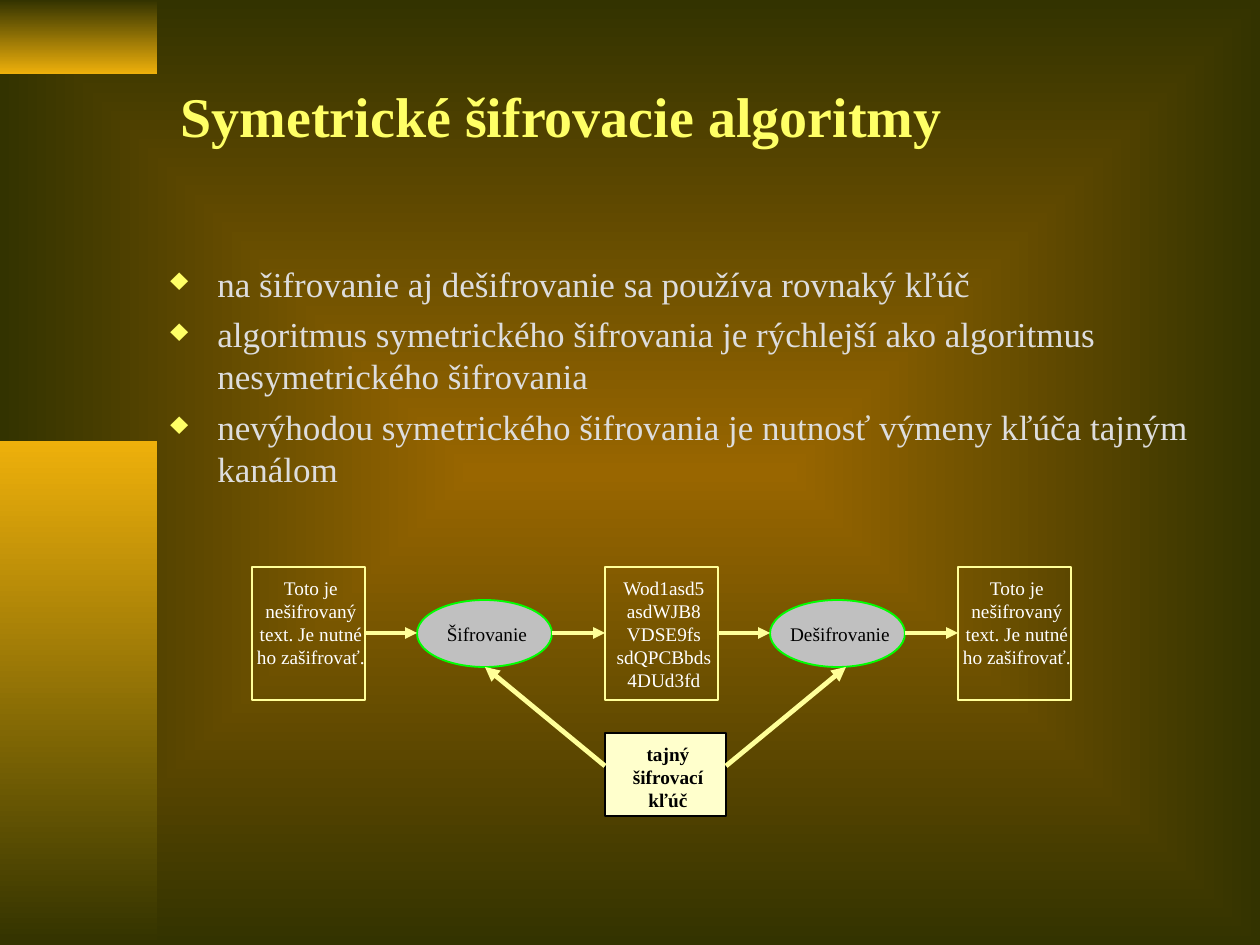
from dataclasses import dataclass
from itertools import pairwise

from pptx import Presentation
from pptx.dml.color import RGBColor
from pptx.enum.shapes import MSO_CONNECTOR, MSO_SHAPE
from pptx.enum.text import MSO_ANCHOR, MSO_AUTO_SIZE, PP_ALIGN
from pptx.oxml import parse_xml
from pptx.oxml.ns import nsdecls, qn
from pptx.util import Emu, Pt

RECTANGLE, OVAL = MSO_SHAPE.RECTANGLE, MSO_SHAPE.OVAL
STRAIGHT = MSO_CONNECTOR.STRAIGHT
TOP, MIDDLE = MSO_ANCHOR.TOP, MSO_ANCHOR.MIDDLE
LEFT, CENTER = PP_ALIGN.LEFT, PP_ALIGN.CENTER

EMU_PER_PX = 914400 / 126
FONT = "Times New Roman"
COLORS = {
    "brown": "996600", "olive": "333300", "gold": "EEB00B",
    "title": "FFFF66", "body": "DDDDDD", "pale": "FFFF99", "cream": "FFFFCC",
    "gray": "C0C0C0", "green": "00FF00", "white": "FFFFFF", "black": "000000",
}
BULLETS = [
    "na šifrovanie aj dešifrovanie sa používa rovnaký kľúč",
    "algoritmus symetrického šifrovania je rýchlejší ako algoritmus nesymetrického šifrovania",
    "nevýhodou symetrického šifrovania je nutnosť výmeny kľúča tajným kanálom",
]
PLAIN_TEXT = ("Toto je", "nešifrovaný", "text. Je nutné", "ho zašifrovať.")
CIPHER_TEXT = ("Wod1asd5", "asdWJB8", "VDSE9fs", "sdQPCBbds", "4DUd3fd")


@dataclass(frozen=True)
class Style:
    geometry: int
    fill: str | None
    line: str
    line_width: float
    text: str
    anchor: int
    bold: bool = False


@dataclass(frozen=True)
class Node:
    left: int
    top: int
    width: int
    height: int
    lines: tuple[str, ...]
    style: Style


MESSAGE = Style(RECTANGLE, None, "pale", 1.05, "white", TOP)
PROCESS = Style(OVAL, "gray", "green", 1.05, "black", MIDDLE)
KEY = Style(RECTANGLE, "cream", "black", 0.71, "black", TOP, bold=True)


def px(value: int) -> Emu:
    return Emu(round(value * EMU_PER_PX))


def color(name: str) -> RGBColor:
    return RGBColor.from_string(COLORS[name])


def set_gradient(fill, names: tuple[str, str]) -> None:
    fill.gradient()
    for stop, name in zip(fill.gradient_stops, names):
        stop.color.rgb = color(name)


def add_run(paragraph, text: str, size: int, name: str, bold: bool = False) -> None:
    run = paragraph.add_run()
    run.text = text
    run.font.name, run.font.size, run.font.bold = FONT, Pt(size), bold
    run.font.color.rgb = color(name)


def set_background(slide) -> None:
    set_gradient(slide.background.fill, ("brown", "olive"))
    gradient = next(slide.element.iter(qn("a:gradFill")))
    gradient.replace(gradient.find(qn("a:lin")), parse_xml(
        f'<a:path {nsdecls("a")} path="rect">'
        '<a:fillToRect l="50000" t="50000" r="50000" b="50000"/></a:path>'))


def add_panel(slide, top: int, height: int, names: tuple[str, str]) -> None:
    panel = slide.shapes.add_shape(RECTANGLE, 0, px(top), px(157), px(height))
    panel.shadow.inherit = False
    set_gradient(panel.fill, names)
    panel.fill.gradient_angle = 270
    panel.line.fill.background()


def set_title(slide, text: str) -> None:
    title = slide.shapes.title
    title.left, title.top, title.width, title.height = px(168), px(82), px(1071), px(67)
    frame = title.text_frame
    frame.vertical_anchor, frame.auto_size = MIDDLE, MSO_AUTO_SIZE.NONE
    frame.paragraphs[0].alignment = LEFT
    add_run(frame.paragraphs[0], text, 32, "title", bold=True)


def add_bullets(slide, texts: list[str]) -> None:
    frame = slide.shapes.add_textbox(px(158), px(256), px(1071), px(238)).text_frame
    frame.word_wrap = True
    for index, text in enumerate(texts):
        paragraph = frame.add_paragraph() if index else frame.paragraphs[0]
        properties = paragraph._p.get_or_add_pPr()
        properties.set("marL", str(px(47)))
        properties.set("indent", str(-px(47)))
        for element in (f'<a:buClr {nsdecls("a")}><a:srgbClr val="{COLORS["title"]}"/></a:buClr>',
                        f'<a:buSzPct {nsdecls("a")} val="90000"/>',
                        f'<a:buChar {nsdecls("a")} char="♦"/>'):
            properties.append(parse_xml(element))
        if index:
            paragraph.space_before = Pt(5)
        add_run(paragraph, text, 20, "body")


def add_node(slide, node: Node) -> None:
    style = node.style
    shape = slide.shapes.add_shape(
        style.geometry, px(node.left), px(node.top), px(node.width), px(node.height))
    shape.shadow.inherit = False
    if style.fill:
        shape.fill.solid()
        shape.fill.fore_color.rgb = color(style.fill)
    else:
        shape.fill.background()
    shape.line.color.rgb = color(style.line)
    shape.line.width = Pt(style.line_width)
    frame = shape.text_frame
    frame.word_wrap, frame.vertical_anchor = False, style.anchor
    frame.margin_left, frame.margin_right = px(5), 0
    frame.margin_top, frame.margin_bottom = px(9 if style.anchor == TOP else 0), 0
    for index, line in enumerate(node.lines):
        paragraph = frame.add_paragraph() if index else frame.paragraphs[0]
        paragraph.alignment, paragraph.line_spacing = CENTER, Pt(13.15)
        add_run(paragraph, line, 11, style.text, style.bold)


def add_arrow(slide, start: tuple[int, int], end: tuple[int, int], width: float) -> None:
    arrow = slide.shapes.add_connector(STRAIGHT, *map(px, start + end))
    arrow.line.color.rgb = color("pale")
    arrow.line.width = Pt(width)
    arrow.line._get_or_add_ln().append(
        parse_xml(f'<a:tailEnd {nsdecls("a")} type="triangle" w="med" len="med"/>'))
    arrow._element.spPr.append(parse_xml(f'<a:effectLst {nsdecls("a")}/>'))


def main() -> None:
    presentation = Presentation()
    presentation.slide_width, presentation.slide_height = px(1260), px(945)
    slide = presentation.slides.add_slide(presentation.slide_layouts[5])

    # Background and side panels
    set_background(slide)
    add_panel(slide, 0, 74, ("olive", "gold"))
    add_panel(slide, 441, 504, ("gold", "olive"))

    # Title and bullets
    set_title(slide, "Symetrické šifrovacie algoritmy")
    add_bullets(slide, BULLETS)

    # Messages alternate with processes at a constant pitch
    pitch = 353
    messages = [Node(252 + pitch * index, 567, 113, 133, lines, MESSAGE)
                for index, lines in enumerate((PLAIN_TEXT, CIPHER_TEXT, PLAIN_TEXT))]
    processes = [Node(417 + pitch * index, 600, 135, 67, (label,), PROCESS)
                 for index, label in enumerate(("Šifrovanie", "Dešifrovanie"))]
    key = Node(605, 733, 121, 83, ("tajný", "šifrovací", "kľúč"), KEY)
    chain = sorted(messages + processes, key=lambda node: node.left)
    for node in chain + [key]:
        add_node(slide, node)

    # Arrows along the chain, then from the key to both processes
    for source, target in pairwise(chain):
        add_arrow(slide, (source.left + source.width, 633), (target.left, 633), 2.25)
    for start_x, end_x in ((key.left, 485), (key.left + key.width, 846)):
        add_arrow(slide, (start_x, 766), (end_x, 667), 2.75)

    presentation.save("out.pptx")


if __name__ == "__main__":
    main()
